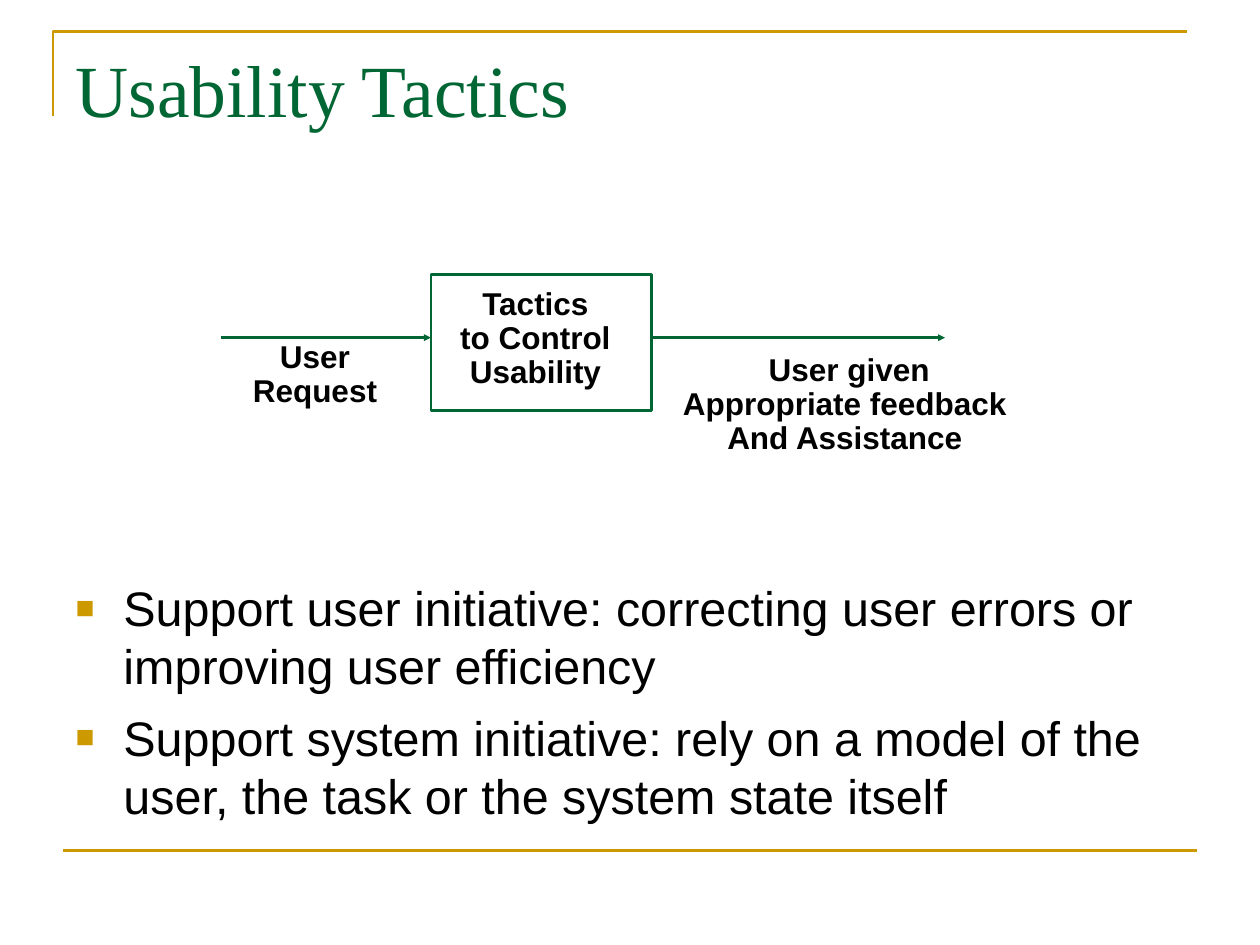
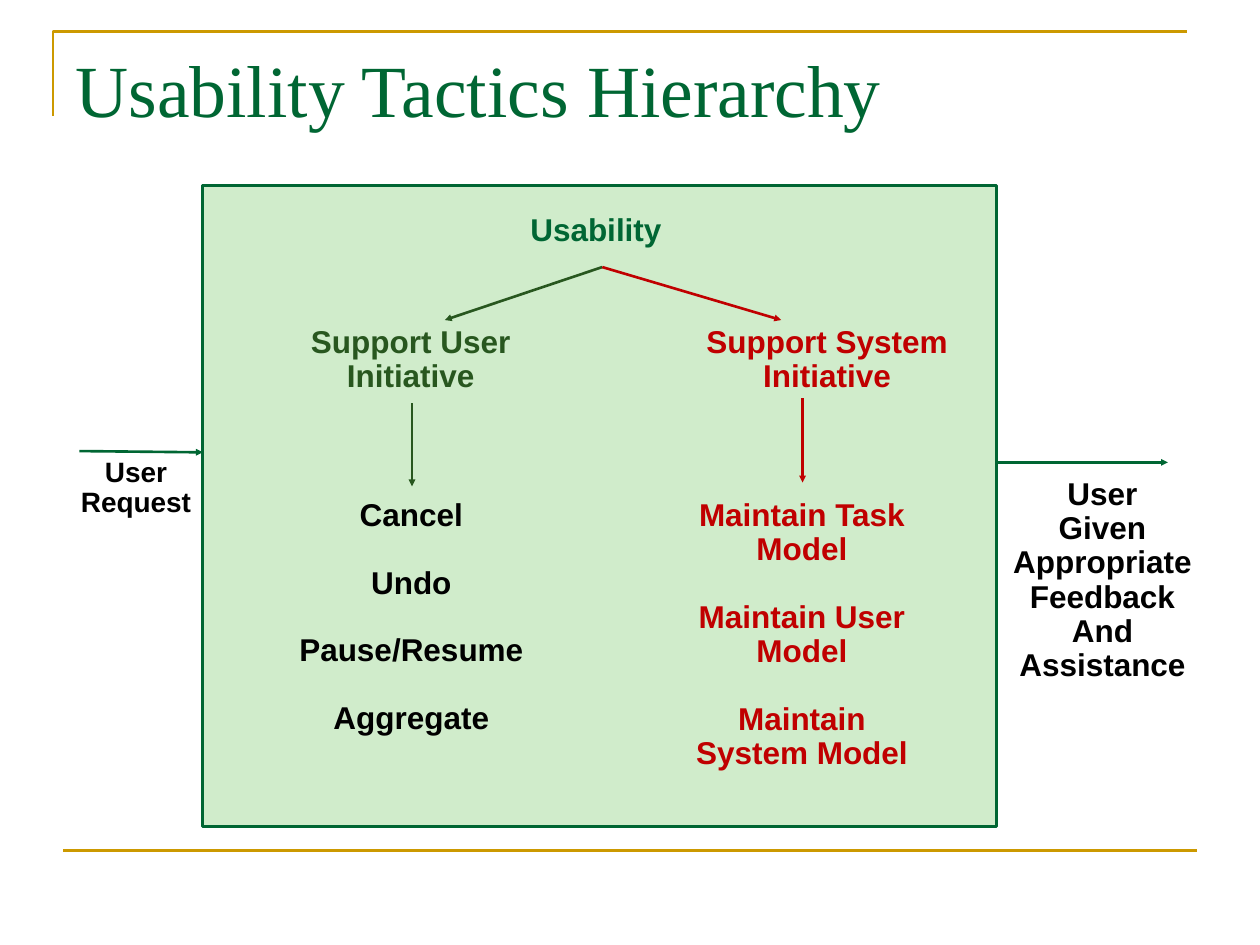
from lxml.etree import SubElement
from pptx import Presentation
from pptx.dml.color import RGBColor
from pptx.enum.shapes import MSO_CONNECTOR as Connector, MSO_SHAPE as Shape
from pptx.enum.text import MSO_ANCHOR as Anchor, MSO_AUTO_SIZE as AutoSize, PP_ALIGN as Align
from pptx.oxml.ns import qn
from pptx.util import Inches, Pt

GREEN, GOLD, RED, BLACK = "006633", "CC9900", "C00000", "000000"
LEAF, PALE = "28571F", "D0ECCB"
COLUMNS, ROWS = 100, 75
TITLE_ONLY, TITLE_AND_BODY = 5, 1
BLANK_LINE = 19.4


def color(code):
    return RGBColor.from_string(code)


def write(frame, lines, size=18, ink=BLACK, font="Arial", bold=False, align=Align.LEFT,
          spacing=None, gap=0, inset=(0.1, 0.05), anchor=Anchor.TOP, wrap=True,
          fit=AutoSize.NONE, bullet=None):
    """Fill a text frame with one paragraph per line."""
    frame.word_wrap, frame.auto_size, frame.vertical_anchor = wrap, fit, anchor
    frame.margin_left = frame.margin_right = Inches(inset[0])
    frame.margin_top = frame.margin_bottom = Inches(inset[1])
    for index, line in enumerate(lines):
        para = frame.paragraphs[0] if index == 0 else frame.add_paragraph()
        if bullet:
            add_bullet(para, bullet)
        para.alignment, para.line_spacing = align, spacing
        para.space_before = Pt(gap if index else 0)
        span = para.add_run()
        span.text = line
        span.font.name, span.font.size, span.font.bold = font, Pt(size), bold
        span.font.color.rgb = color(ink)


def add_bullet(para, ink):
    """Give a paragraph a small square bullet and a hanging indent."""
    settings = para._p.get_or_add_pPr()
    indent = Inches(0.38)
    settings.set("marL", str(indent))
    settings.set("indent", str(-indent))
    SubElement(SubElement(settings, qn("a:buClr")), qn("a:srgbClr"), val=ink)
    SubElement(settings, qn("a:buSzPct"), val="65000")
    SubElement(settings, qn("a:buFont"), typeface="Arial")
    SubElement(settings, qn("a:buChar"), char="■")


class Deck:
    """Holds the shared style and the current page; lengths are grid columns and rows."""

    def __init__(self):
        self.show = Presentation()
        self.show.slide_width, self.show.slide_height = Inches(10), Inches(7.5)
        self.page = None

    def grid(self, *lengths):
        """Turn alternating columns and rows into slide units."""
        units = (self.show.slide_width / COLUMNS, self.show.slide_height / ROWS)
        return [round(length * units[i % 2]) for i, length in enumerate(lengths)]

    def outline(self, shape, ink):
        shape.line.color.rgb = color(ink)
        shape.line.width = Pt(1.5)

    def start_page(self, title, layout):
        self.page = self.show.slides.add_slide(self.show.slide_layouts[layout])
        corner = [self.grid(*point) for point in ((4.2, 9.2), (4.2, 2.5), (94.2, 2.5))]
        builder = self.page.shapes.build_freeform(*corner[0])
        builder.add_line_segments(corner[1:], close=False)
        bracket = builder.convert_to_shape()
        bracket.shadow.inherit = False
        bracket.fill.background()
        self.outline(bracket, GOLD)
        self.line((5, 67.5), (95, 67.5), GOLD)
        self.placeholder(0, (5, 3, 90, 12.5), [title], size=42, ink=GREEN,
                         font="Times New Roman")

    def placeholder(self, index, area, lines, **style):
        holder = self.page.placeholders[index]
        holder.left, holder.top, holder.width, holder.height = self.grid(*area)
        write(holder.text_frame, lines, **style)

    def line(self, start, end, ink=GREEN, arrow=False):
        line = self.page.shapes.add_connector(Connector.STRAIGHT, *self.grid(*start, *end))
        self.outline(line, ink)
        if arrow:
            SubElement(line.line._get_or_add_ln(), qn("a:tailEnd"), type="triangle",
                       w="sm", len="sm")
        SubElement(line._element.spPr, qn("a:effectLst"))

    def arrow(self, start, end, ink=GREEN):
        self.line(start, end, ink, arrow=True)

    def box(self, area, fill=None):
        box = self.page.shapes.add_shape(Shape.RECTANGLE, *self.grid(*area))
        box.shadow.inherit = False
        if fill:
            box.fill.solid()
            box.fill.fore_color.rgb = color(fill)
        else:
            box.fill.background()
        self.outline(box, GREEN)

    def label(self, area, *lines, **style):
        label = self.page.shapes.add_textbox(*self.grid(*area))
        look = dict(bold=True, align=Align.CENTER, spacing=0.9, inset=(0.05, 0.05),
                    fit=AutoSize.SHAPE_TO_FIT_TEXT)
        write(label.text_frame, lines, **{**look, **style})


def add_tactics(deck):
    deck.start_page("Usability Tactics", TITLE_AND_BODY)
    deck.box((34.2, 21.8, 17.5, 10.8))
    deck.label((35, 22.4, 15, 9.1), "Tactics", "to Control", "Usability")
    deck.arrow((17.5, 26.8), (34.2, 26.8))
    deck.arrow((51.7, 26.8), (75, 26.8))
    deck.label((18.5, 26.6, 13, 6.4), "User", "Request")
    deck.label((52.4, 27.6, 30, 9.1), "User given", "Appropriate feedback ",
               "And Assistance ")
    deck.placeholder(1, (5, 45.4, 90, 21.7), [
        "Support user initiative: correcting user errors or improving user efficiency",
        "Support system initiative: rely on a model of the user, the task or the system "
        "state itself",
    ], size=27.7, gap=7.5, bullet=GOLD)


def add_hierarchy(deck):
    deck.start_page("Usability Tactics Hierarchy", TITLE_ONLY)
    deck.box((16.1, 14.7, 63, 50.9), PALE)
    deck.label((39.8, 16.5, 15, 3.7), "Usability", ink=GREEN)

    deck.label((22.4, 25.4, 20.4, 6.4), "Support User", "Initiative", ink=LEAF)
    deck.label((53, 25.4, 25.3, 6.4), "Support System", "Initiative", ink=RED)
    deck.label((19.3, 39.1, 26.7, 19.9), "Cancel", "Undo", "Pause/Resume", "Aggregate",
               gap=BLANK_LINE)
    deck.label((54.5, 39.1, 18.3, 22.6), "Maintain Task Model", "Maintain User Model",
               "Maintain System Model", ink=RED, gap=BLANK_LINE)

    root = (47.8, 21.2)
    deck.arrow(root, (35.3, 25.4), LEAF)
    deck.arrow(root, (62, 25.4), RED)
    deck.arrow((32.7, 32), (32.7, 38.6), LEAF)
    deck.arrow((63.7, 31.6), (63.7, 38.3), RED)

    deck.arrow((6.3, 35.8), (16.1, 35.9))
    deck.arrow((79.1, 36.7), (92.7, 36.7))
    deck.label((5.3, 35.9, 11, 5.8), "User", "Request", size=16)
    deck.label((79.2, 37.5, 16.6, 17.2), "User", "Given", "Appropriate", "Feedback",
               "And", "Assistance")


def main():
    deck = Deck()
    add_tactics(deck)
    add_hierarchy(deck)
    deck.show.save("out.pptx")


if __name__ == "__main__":
    main()
